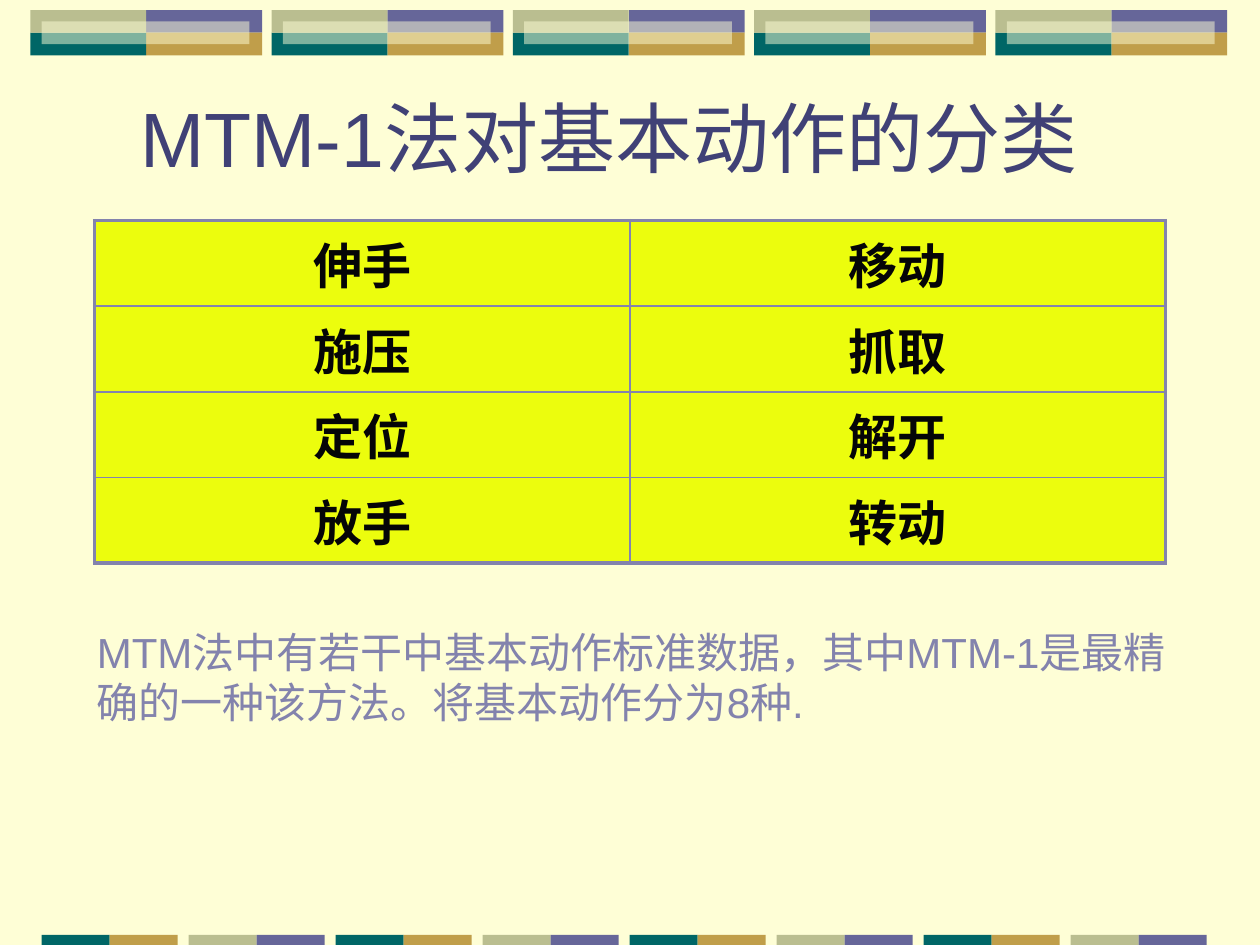
from dataclasses import dataclass

import pptx
import pptx.dml.color
import pptx.enum.shapes
import pptx.enum.text
import pptx.oxml.ns
import pptx.util
from lxml import etree

Inches = pptx.util.Inches
Pt = pptx.util.Pt
ALIGN = pptx.enum.text.PP_ALIGN
ANCHOR = pptx.enum.text.MSO_ANCHOR
qn = pptx.oxml.ns.qn


@dataclass(frozen=True)
class Theme:
    background: str = "FEFED6"
    purple: str = "666699"
    gold: str = "C09E4A"
    teal: str = "006666"
    sage: str = "BABE90"
    title: str = "404176"
    muted: str = "8383AD"
    cell: str = "ECFD0D"
    cell_text: str = "050507"
    font: str = "Arial"
    title_size: int = 44
    cell_size: int = 28
    body_size: int = 24
    outer_line: float = 2.25
    inner_line: float = 1


def rgb(color):
    return pptx.dml.color.RGBColor.from_string(color)


class SlideBuilder:
    def __init__(self, prs, theme):
        self.theme = theme
        self.s = prs.slides.add_slide(prs.slide_layouts[6])
        fill = self.s.background.fill
        fill.solid()
        fill.fore_color.rgb = rgb(theme.background)

    def rect(self, x, y, w, h, color, opacity=100):
        sp = self.s.shapes.add_shape(
            pptx.enum.shapes.MSO_SHAPE.RECTANGLE,
            Inches(x), Inches(y), Inches(w), Inches(h))
        sp.shadow.inherit = False
        sp.fill.solid()
        sp.fill.fore_color.rgb = rgb(color)
        sp.line.fill.background()
        if opacity < 100:
            clr = sp._element.spPr.find(qn("a:solidFill")).find(qn("a:srgbClr"))
            etree.SubElement(clr, qn("a:alpha"), val=str(opacity * 1000))

    def add_run(self, tf, text, size, color, align, bold=False):
        p = tf.paragraphs[0]
        p.alignment = align
        r = p.add_run()
        r.text = text
        r.font.name = self.theme.font
        r.font.size = Pt(size)
        r.font.bold = bold
        r.font.color.rgb = rgb(color)

    def text(self, x, y, w, h, text, size, color, align=ALIGN.LEFT, anchor=ANCHOR.TOP):
        sp = self.s.shapes.add_textbox(Inches(x), Inches(y), Inches(w), Inches(h))
        tf = sp.text_frame
        tf.word_wrap = True
        tf.vertical_anchor = anchor
        self.add_run(tf, text, size, color, align)

    def border(self, cell, side, width):
        tc_pr = cell._tc.get_or_add_tcPr()
        ln = etree.SubElement(tc_pr, qn(f"a:ln{side}"), w=str(Pt(width)))
        fill = etree.SubElement(ln, qn("a:solidFill"))
        etree.SubElement(fill, qn("a:srgbClr"), val=self.theme.muted)

    def table(self, x, y, w, row_height, rows):
        t = self.theme
        n_rows, n_cols = len(rows), len(rows[0])
        table = self.s.shapes.add_table(
            n_rows, n_cols, Inches(x), Inches(y),
            Inches(w), Inches(row_height * n_rows)).table
        table.first_row = False
        table.horz_banding = False
        for i, row in enumerate(rows):
            for j, text in enumerate(row):
                cell = table.cell(i, j)
                edges = {"L": j == 0, "R": j == n_cols - 1,
                         "T": i == 0, "B": i == n_rows - 1}
                for side, outer in edges.items():
                    self.border(cell, side, t.outer_line if outer else t.inner_line)
                cell.fill.solid()
                cell.fill.fore_color.rgb = rgb(t.cell)
                cell.vertical_anchor = ANCHOR.MIDDLE
                self.add_run(cell.text_frame, text, t.cell_size, t.cell_text,
                             ALIGN.CENTER, bold=True)

    def top_band(self):
        t = self.theme
        w, h = 0.92, 0.18
        for i in range(5):
            x, y = 0.24 + 1.915 * i, 0.08
            self.rect(x + w, y, w, h, t.purple)
            self.rect(x + w, y + h, w, h, t.gold)
            self.rect(x, y + h, w, h, t.teal)
            self.rect(x, y, w, h, t.sage)
            self.rect(x + 0.09, y + h / 2, 1.65, h, t.background, opacity=50)

    def bottom_band(self):
        t = self.theme
        w = 0.54
        pairs = [(t.teal, t.gold), (t.sage, t.purple)]
        for i in range(8):
            for j, color in enumerate(pairs[i % 2]):
                self.rect(0.33 + 7 / 6 * i + w * j, 7.42, w, 0.08, color)


def main():
    prs = pptx.Presentation()
    prs.slide_width, prs.slide_height = Inches(10), Inches(7.5)
    theme = Theme()
    slide = SlideBuilder(prs, theme)
    slide.top_band()
    slide.bottom_band()
    slide.text(0.42, 0.67, 8.83, 0.83, "MTM-1法对基本动作的分类",
               theme.title_size, theme.title, ALIGN.CENTER, ANCHOR.MIDDLE)
    slide.table(0.75, 1.75, 8.5, 0.68, [
        ("伸手", "移动"),
        ("施压", "抓取"),
        ("定位", "解开"),
        ("放手", "转动"),
    ])
    slide.text(0.67, 4.92, 8.92, 0.9,
               "MTM法中有若干中基本动作标准数据，其中MTM-1是最精确的一种该方法。将基本动作分为8种.",
               theme.body_size, theme.muted)
    prs.save("out.pptx")


if __name__ == "__main__":
    main()
